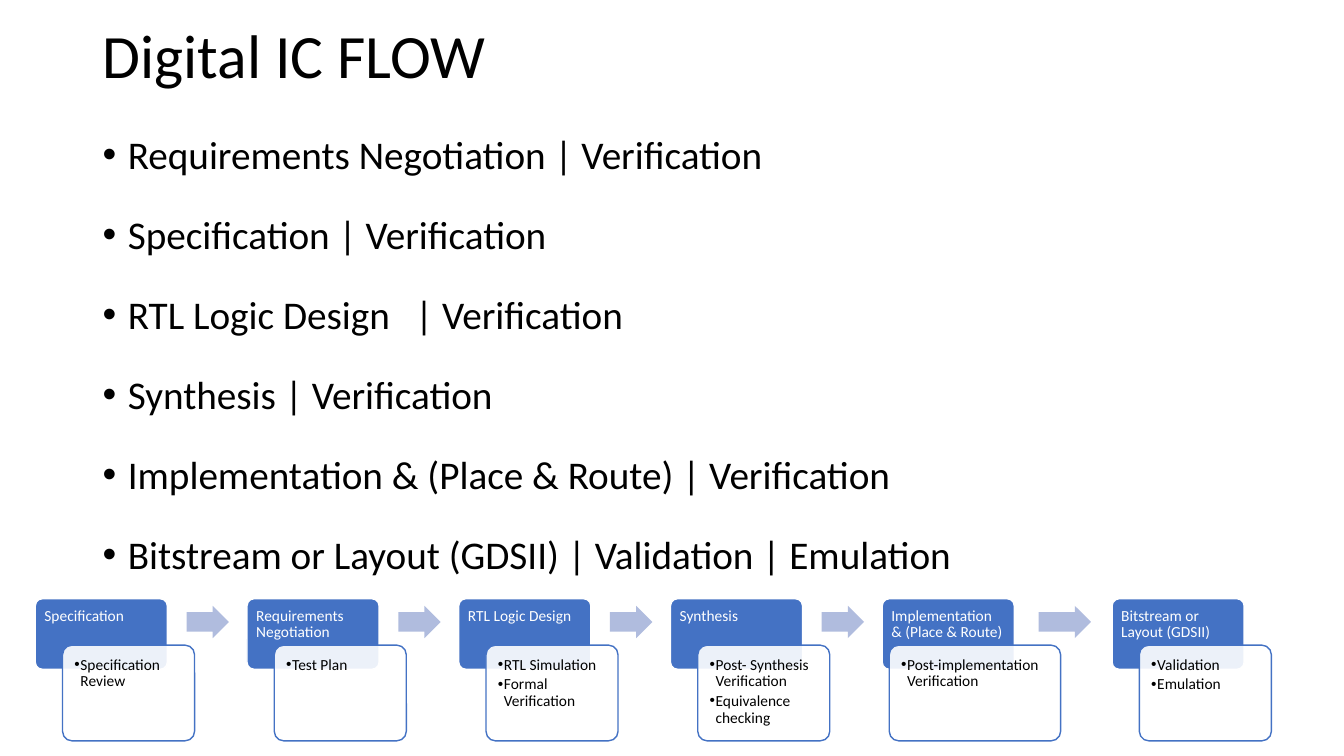
from lxml.etree import SubElement
from pptx import Presentation
from pptx.dml.color import RGBColor
from pptx.enum.shapes import MSO_SHAPE
from pptx.enum.text import MSO_ANCHOR
from pptx.oxml.ns import qn
from pptx.util import Inches, Pt

BLUE, PALE, WHITE, BLACK = "4472C4", "B0BCDE", "FFFFFF", "000000"


def color(hex_code):
    return RGBColor.from_string(hex_code)


class FlowSlide:
    font_name = "Calibri"

    def __init__(self, slide):
        self.slide = slide

    def set_lines(self, frame, lines, size, ink, spacing, margins, anchor=MSO_ANCHOR.TOP,
                  before=0, after=0, indent=0, tab=None):
        left, top, right, bottom = (Inches(m) for m in margins)
        frame_format = {"word_wrap": True, "vertical_anchor": anchor,
                        "margin_left": left, "margin_top": top,
                        "margin_right": right, "margin_bottom": bottom}
        for key, value in frame_format.items():
            setattr(frame, key, value)
        for number, line in enumerate(lines):
            paragraph = frame.add_paragraph() if number else frame.paragraphs[0]
            props = paragraph._p.get_or_add_pPr()
            props.set("algn", "l")
            paragraph.line_spacing = spacing
            paragraph.space_before = Pt(before if number else 0)
            paragraph.space_after = Pt(after)
            if indent:
                props.set("marL", str(Inches(indent)))
                props.set("indent", str(-Inches(indent)))
                SubElement(props, qn("a:buFont"), typeface="Arial")
                SubElement(props, qn("a:buChar"), char="•")
            if tab and "\t" in line:
                stops = SubElement(props, qn("a:tabLst"))
                SubElement(stops, qn("a:tab"), pos=str(Inches(tab)), algn="l")
            run = paragraph.add_run()
            run.text = line
            for key, value in {"name": self.font_name, "size": Pt(size)}.items():
                setattr(run.font, key, value)
            run.font.color.rgb = color(ink)

    def text(self, box, lines, **style):
        frame = self.slide.shapes.add_textbox(*(Inches(v) for v in box)).text_frame
        self.set_lines(frame, lines, ink=BLACK, **style)

    def shape(self, kind, box, fill, adjustments, line=None, alpha=None):
        shape = self.slide.shapes.add_shape(kind, *(Inches(v) for v in box))
        shape.shadow.inherit = False
        for index, value in enumerate(adjustments):
            shape.adjustments[index] = value
        shape.fill.solid()
        shape.fill.fore_color.rgb = color(fill)
        if alpha:
            solid = shape._element.spPr.find(qn("a:solidFill"))
            SubElement(solid[0], qn("a:alpha"), val=str(alpha * 1000))
        if line:
            shape.line.color.rgb = color(line)
            shape.line.width = Pt(1)
        else:
            shape.line.fill.background()
        return shape

    def card(self, box, lines, fill, line, ink, margins, alpha=None, **style):
        card = self.shape(MSO_SHAPE.ROUNDED_RECTANGLE, box, fill, [0.1], line, alpha)
        self.set_lines(card.text_frame, lines, 11, ink, 0.9, margins, **style)

    def arrow(self, box):
        self.shape(MSO_SHAPE.RIGHT_ARROW, box, PALE, [0.6, 0.5])


def main():
    presentation = Presentation()
    presentation.slide_width = Inches(13.33)
    presentation.slide_height = Inches(7.5)
    flow = FlowSlide(presentation.slides.add_slide(presentation.slide_layouts[6]))

    # Title and list of stages
    flow.text((0.92, 0.12, 11.5, 0.93), ["Digital IC FLOW"], size=44, spacing=0.9,
              margins=(0.1, 0.05, 0.1, 0.05), anchor=MSO_ANCHOR.MIDDLE)
    flow.text((0.92, 1.06, 11.5, 4.76), [
        "Requirements Negotiation | Verification",
        "Specification | Verification",
        "RTL Logic Design\t| Verification",
        "Synthesis | Verification",
        "Implementation & (Place & Route) | Verification",
        "Bitstream or Layout (GDSII) | Validation | Emulation",
    ], size=28, spacing=1.4, margins=(0.1, 0.05, 0.1, 0.05), before=10, indent=0.25,
        tab=3.1)

    # Process strip: stage, its checks, stage left, checks offset and width
    pitch, first = 2.1, 0.35
    stages = [
        ("Specification", ["Specification Review"], first, 0.27, 1.31),
        ("Requirements Negotiation", ["Test Plan"], first + pitch, 0.27, 1.31),
        ("RTL Logic Design", ["RTL Simulation", "Formal Verification"],
         first + 2 * pitch, 0.27, 1.31),
        ("Synthesis", ["Post- Synthesis Verification", "Equivalence checking"],
         first + 3 * pitch, 0.27, 1.31),
        ("Implementation & (Place & Route)", ["Post-implementation Verification"],
         first + 4 * pitch, 0.07, 1.7),
        ("Bitstream or Layout (GDSII)", ["Validation", "Emulation"], 11.03, 0.27, 1.31),
    ]
    for number, (stage, checks, left, offset, width) in enumerate(stages, 1):
        flow.card((left, 5.94, 1.31, 0.7), [stage], BLUE, WHITE, WHITE,
                  (0.07, 0.07, 0.07, 0.05))
        flow.card((left + offset, 6.4, width, 0.95), checks, WHITE, BLUE, BLACK,
                  (0.09, 0.09, 0.09, 0.09), alpha=90, after=2, indent=0.06)
        if number < len(stages):
            wide = number == len(stages) - 1
            flow.arrow((left + (1.55 if wide else 1.5), 6.01, 0.52 if wide else 0.42, 0.32))

    presentation.save("out.pptx")


if __name__ == "__main__":
    main()
